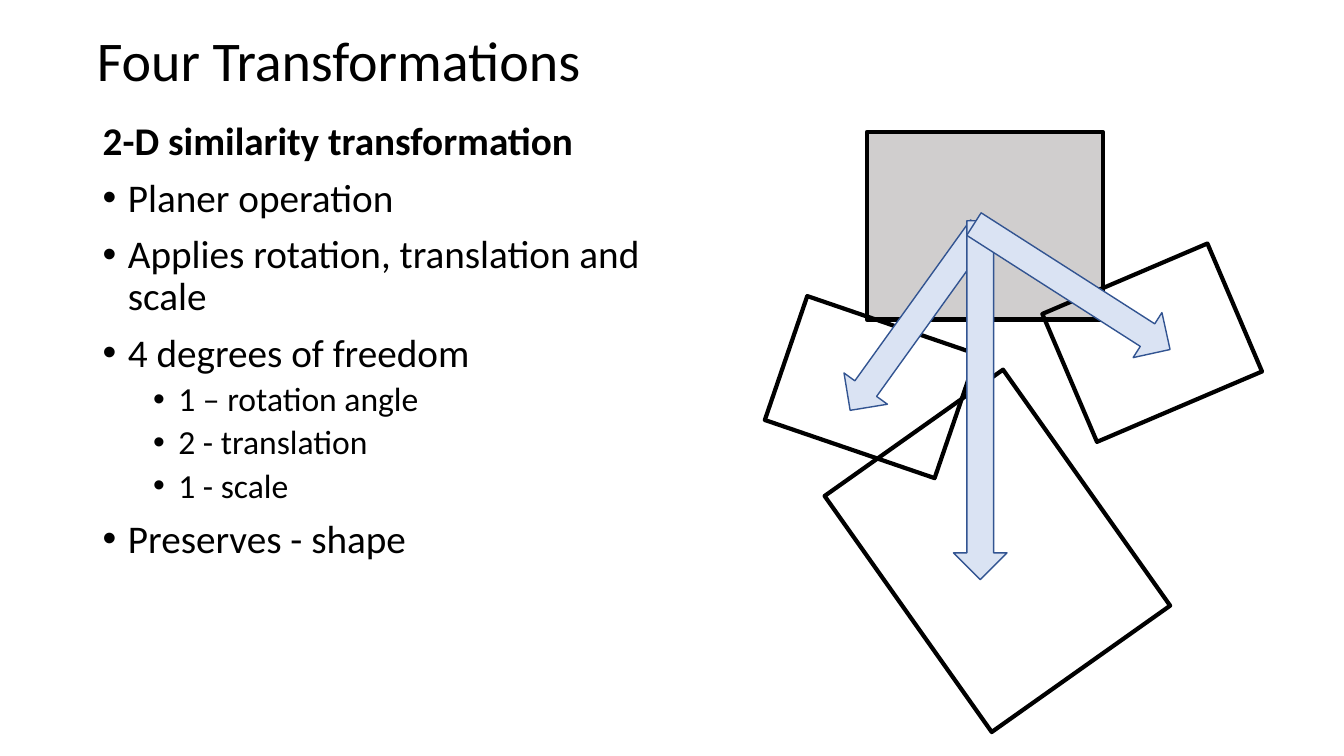
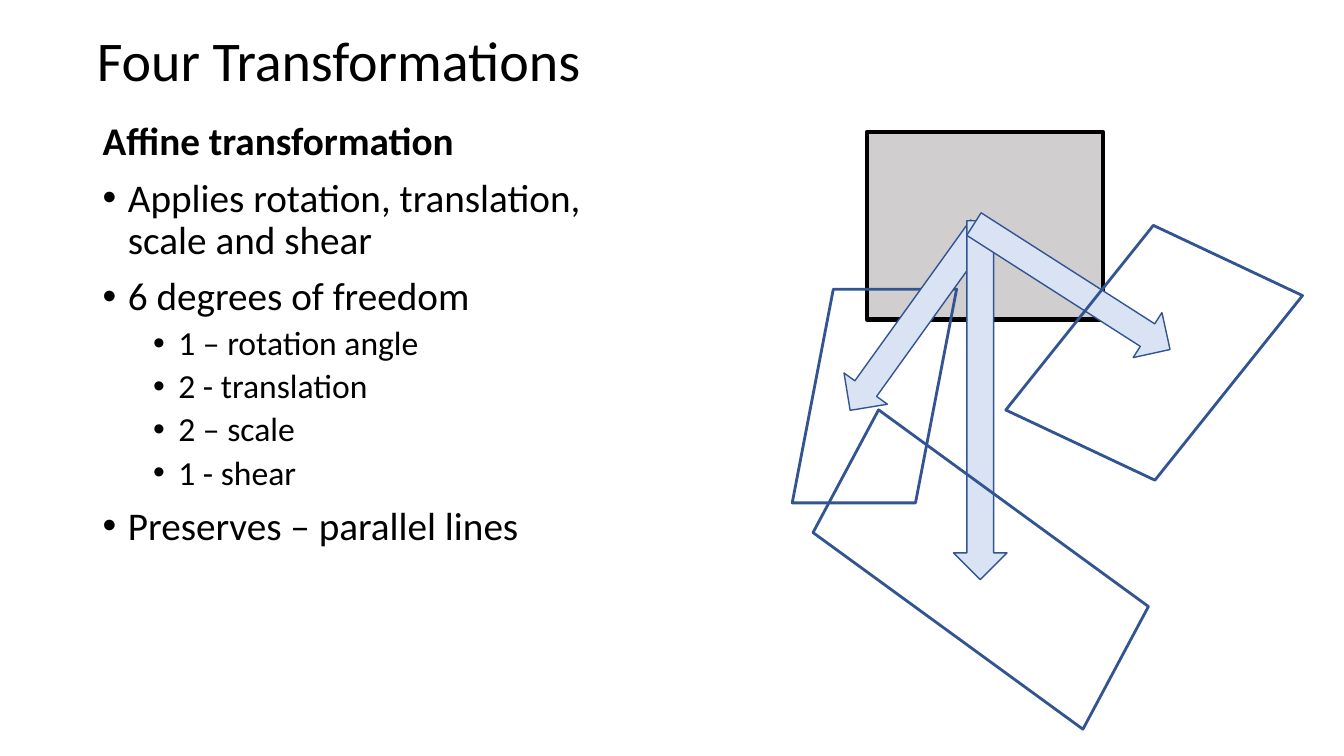
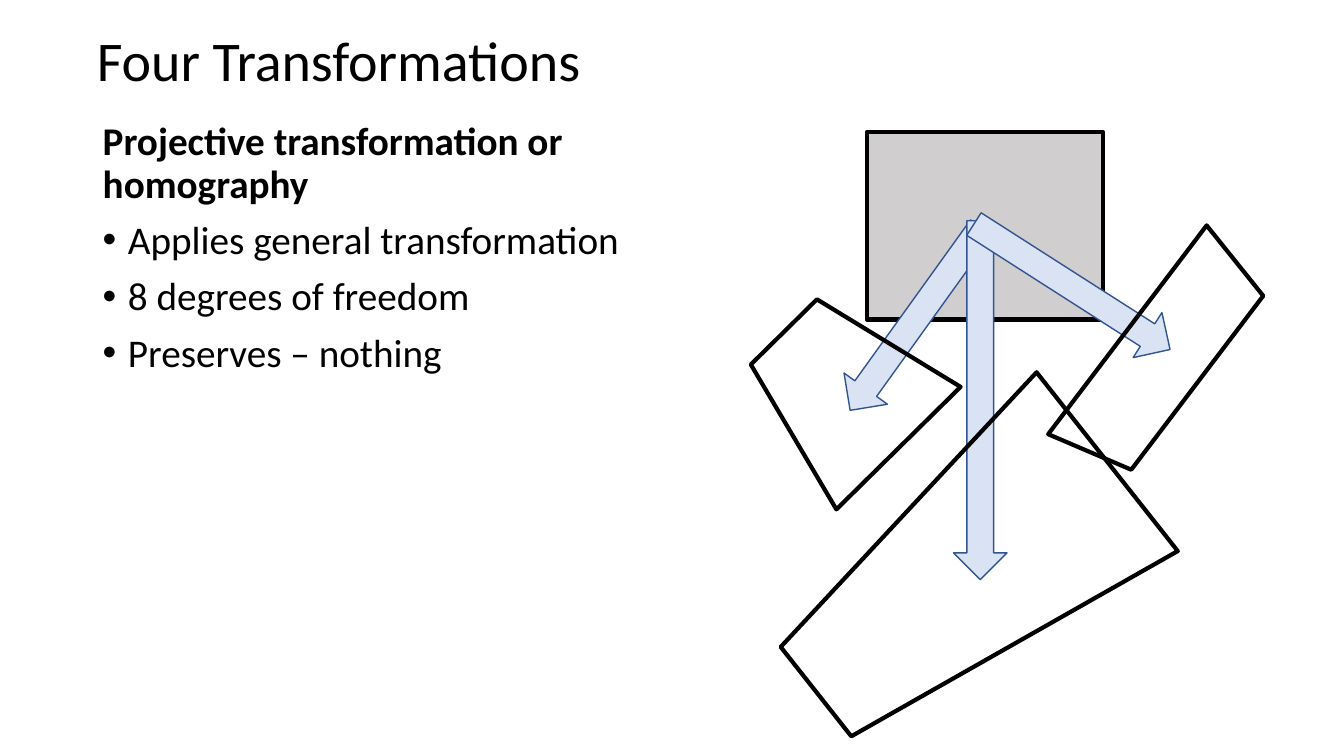
import lxml.etree
import pptx
import pptx.dml.color
import pptx.enum.shapes
import pptx.enum.text
import pptx.oxml.ns
import pptx.util

Pt = pptx.util.Pt
SHAPE = pptx.enum.shapes.MSO_SHAPE

# Shared look
COLORS = {"text": "000000", "black": "000000", "gray": "D0CECE",
          "pale": "DAE3F3", "blue": "325491"}
FONT = "Calibri"
TITLE = "Four Transformations"
TITLE_BOX = (61.9, 10.8, 828, 68.4)
BODY_BOX = (66.2, 83.5, 407.5, 424.8)

# Paragraph styles: size, bold, left margin, hanging indent, space before
STYLES = {
    "heading": (28, True, 0, 0, 10),
    "item": (28, False, 18, 18, 10),
    "detail": (24, False, 54, 18, 5),
}

# Drawing parts as (box, rotation)
START_BOX = (619.2, 94.3, 168.5, 133.9)
ARROWS = [
    ((635, 147.6, 38.2, 160.6), 35.7),
    ((681.1, 157.7, 38.2, 256.3), 0),
    ((746.6, 121.7, 38.2, 166.3), 302.6),
]

# "behind" is the number of outlines that lie under the arrows
SLIDES = [
    {
        "text": [("heading", "2-D similarity transformation"),
                 ("item", "Planer operation"),
                 ("item", "Applies rotation, translation and scale"),
                 ("item", "4 degrees of freedom"),
                 ("detail", "1 – rotation angle"),
                 ("detail", "2 - translation"),
                 ("detail", "1 - scale"),
                 ("item", "Preserves - shape")],
        "kind": SHAPE.RECTANGLE, "line": ("black", 3), "behind": 3,
        "outlines": [((758.9, 195.1, 128.2, 99.4), 336.9),
                     ((609.1, 315.4, 206.6, 156.2), 54.7),
                     ((558, 229.7, 128.2, 93.6), 18.9)],
    },
    {
        "text": [("heading", "Affine transformation"),
                 ("item", "Applies rotation, translation, scale and shear"),
                 ("item", "6 degrees of freedom"),
                 ("detail", "1 – rotation angle"),
                 ("detail", "2 - translation"),
                 ("detail", "2 – scale"),
                 ("detail", "1 - shear"),
                 ("item", "Preserves – parallel lines")],
        "kind": SHAPE.PARALLELOGRAM, "line": ("blue", 2), "behind": 1,
        "outlines": [((565.9, 206.6, 117.4, 152.6), 0),
                     ((634.3, 288.7, 132.5, 236.2), 298.1),
                     ((745.9, 169.9, 157, 164.2), 205.2)],
    },
    {
        "text": [("heading", "Projective transformation or homography"),
                 ("item", "Applies general transformation"),
                 ("item", "8 degrees of freedom"),
                 ("item", "Preserves – nothing")],
        "kind": SHAPE.TRAPEZOID, "line": ("black", 3), "behind": 0,
        "outlines": [((538.6, 220.3, 124.6, 116.6), 315.4),
                     ((605.5, 279.4, 162.7, 265), 231.7),
                     ((736.6, 223.2, 187.2, 62.6), 127.2)],
    },
]


def color(name):
    return pptx.dml.color.RGBColor.from_string(COLORS[name])


def place(shape, box):
    shape.left, shape.top, shape.width, shape.height = map(Pt, box)


def format_runs(paragraph, size, bold=False):
    paragraph.line_spacing = 0.9
    for run in paragraph.runs:
        run.font.name = FONT
        run.font.size = Pt(size)
        run.font.bold = bold
        run.font.color.rgb = color("text")


def set_bullet(paragraph, margin, hanging):
    properties = paragraph._p.get_or_add_pPr()
    properties.set("marL", str(Pt(margin)))
    properties.set("indent", str(-Pt(hanging)))
    qualified = pptx.oxml.ns.qn
    if hanging:
        lxml.etree.SubElement(properties, qualified("a:buFont"), typeface="Arial")
        lxml.etree.SubElement(properties, qualified("a:buChar"), char="•")
    else:
        lxml.etree.SubElement(properties, qualified("a:buNone"))


def fill_title(shape):
    place(shape, TITLE_BOX)
    frame = shape.text_frame
    frame.text = TITLE
    frame.auto_size = pptx.enum.text.MSO_AUTO_SIZE.NONE
    frame.vertical_anchor = pptx.enum.text.MSO_ANCHOR.MIDDLE
    paragraph = frame.paragraphs[0]
    paragraph.alignment = pptx.enum.text.PP_ALIGN.LEFT
    format_runs(paragraph, 40)


def fill_body(shape, lines):
    place(shape, BODY_BOX)
    frame = shape.text_frame
    frame.text = "\n".join(text for _, text in lines)
    frame.auto_size = pptx.enum.text.MSO_AUTO_SIZE.NONE
    for paragraph, (style, _) in zip(frame.paragraphs, lines):
        size, bold, margin, hanging, space = STYLES[style]
        paragraph.level = 1 if style == "detail" else 0
        paragraph.space_before = Pt(space)
        format_runs(paragraph, size, bold)
        set_bullet(paragraph, margin, hanging)


def add_figure(slide, kind, box, rotation, line, fill=None):
    shape = slide.shapes.add_shape(kind, *map(Pt, box))
    shape.rotation = rotation
    shape.shadow.inherit = False
    line_color, line_width = line
    shape.line.color.rgb = color(line_color)
    shape.line.width = Pt(line_width)
    if fill:
        shape.fill.solid()
        shape.fill.fore_color.rgb = color(fill)
    else:
        shape.fill.background()


def add_drawing(slide, content):
    outlines = [(content["kind"], box, rotation, content["line"])
                for box, rotation in content["outlines"]]
    arrows = [(SHAPE.DOWN_ARROW, box, rotation, ("blue", 1), "pale")
              for box, rotation in ARROWS]
    behind = content["behind"]
    add_figure(slide, SHAPE.RECTANGLE, START_BOX, 0, ("black", 3), "gray")
    for figure in outlines[:behind] + arrows + outlines[behind:]:
        add_figure(slide, *figure)


def main():
    presentation = pptx.Presentation()
    presentation.slide_width = Pt(960)
    presentation.slide_height = Pt(540)
    for content in SLIDES:
        slide = presentation.slides.add_slide(presentation.slide_layouts[1])
        fill_title(slide.shapes.title)
        fill_body(slide.placeholders[1], content["text"])
        add_drawing(slide, content)
    presentation.save("out.pptx")


if __name__ == "__main__":
    main()
